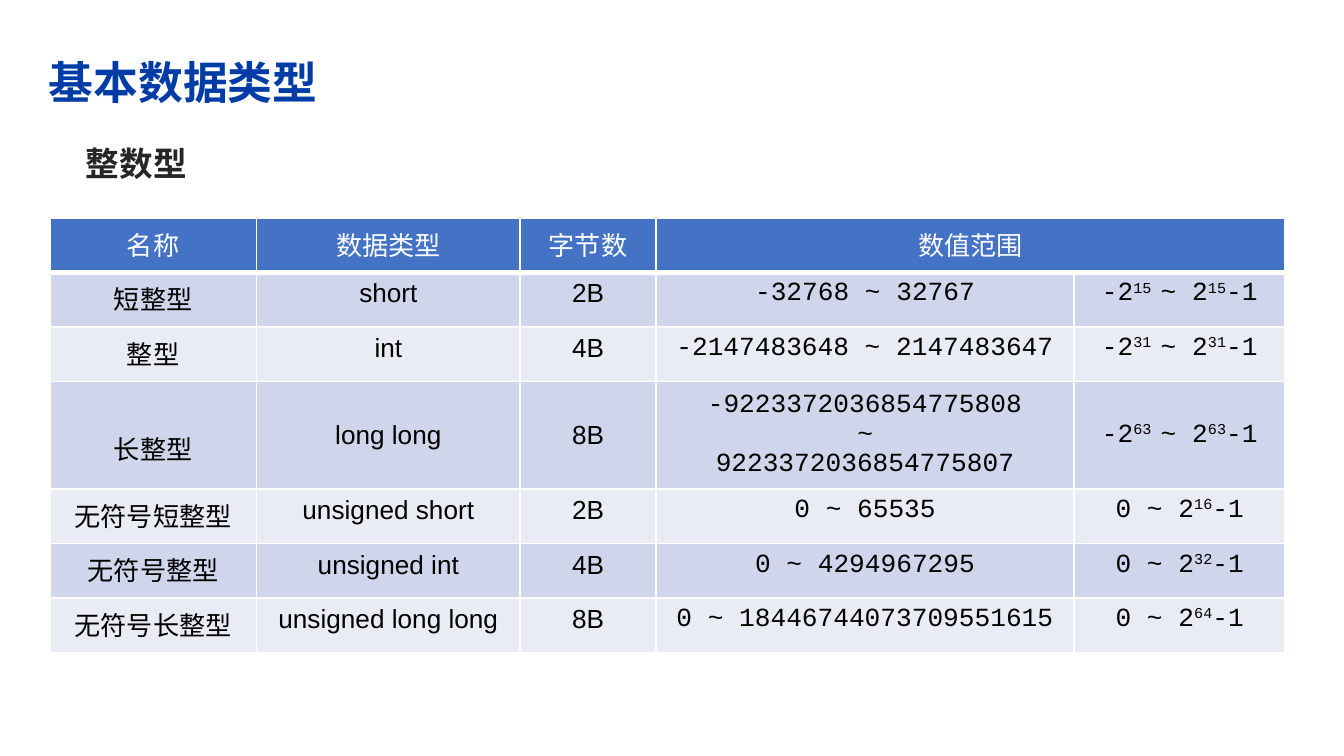
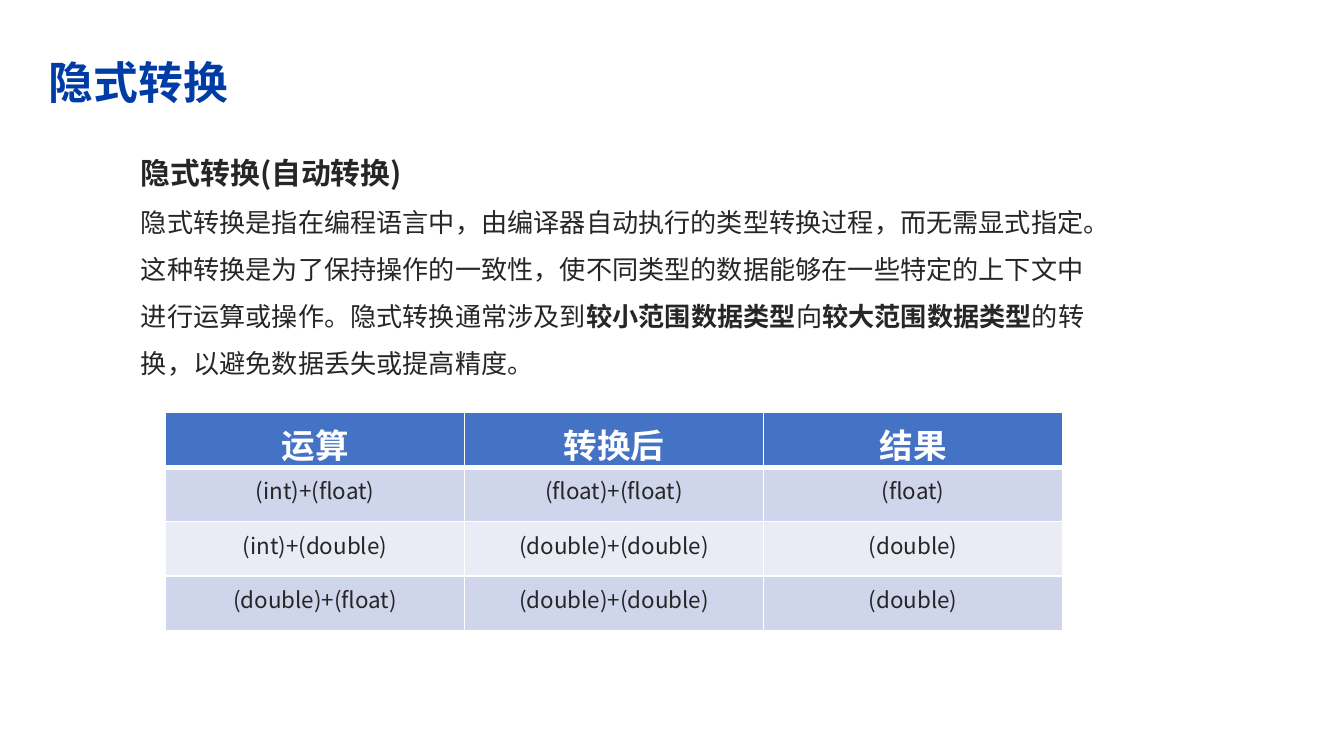
from lxml import etree
from pptx import Presentation
from pptx.dml.color import RGBColor
from pptx.enum.text import MSO_ANCHOR, MSO_AUTO_SIZE, PP_ALIGN
from pptx.oxml.ns import qn
from pptx.util import Cm, Pt

LEFT, CENTER = PP_ALIGN.LEFT, PP_ALIGN.CENTER
TOP, MIDDLE = MSO_ANCHOR.TOP, MSO_ANCHOR.MIDDLE
FIT_SHAPE, NO_FIT = MSO_AUTO_SIZE.SHAPE_TO_FIT_TEXT, MSO_AUTO_SIZE.NONE

SANS, ARIAL, MONO = "Noto Sans CJK SC", "Arial", "Courier New"
BLUE, DARK, BLACK, WHITE = "003CA6", "262626", "000000", "FFFFFF"
HEADER_FILL, BAND_FILLS = "4472C4", ("CFD5EA", "E9EBF5")
ROW_HEIGHT = 1.03

# Content: every second piece between bars is raised (table) or bold (body)
INTEGER_TITLE = "基本数据类型"
INTEGER_HEADING = "整数型"
INTEGER_HEADER = ["名称", "数据类型", "字节数", "数值范围", ""]
INTEGER_ROWS = [
    ["短整型", "short", "2B", "-32768 ~ 32767", "-2|15 |~ 2|15|-1"],
    ["整型", "int", "4B", "-2147483648 ~ 2147483647", "-2|31 |~ 2|31|-1"],
    ["长整型", "long long", "8B",
     "-9223372036854775808\n~\n9223372036854775807", "-2|63 |~ 2|63|-1"],
    ["无符号短整型", "unsigned short", "2B", "0 ~ 65535", "0 ~ 2|16|-1"],
    ["无符号整型", "unsigned int", "4B", "0 ~ 4294967295", "0 ~ 2|32|-1"],
    ["无符号长整型", "unsigned long long", "8B",
     "0 ~ 18446744073709551615", "0 ~ 2|64|-1"],
]
INTEGER_WIDTHS = [3.91, 4.98, 2.57, 7.9, 3.99]
INTEGER_FONTS = [SANS, ARIAL, ARIAL, MONO, MONO]
LONG_ROW = 3

CONVERSION_TITLE = "隐式转换"
CONVERSION_HEADING = "隐式转换(自动转换)"
CONVERSION_TEXT = (
    "隐式转换是指在编程语言中，由编译器自动执行的类型转换过程，而无需显式指定。"
    "这种转换是为了保持操作的一致性，使不同类型的数据能够在一些特定的上下文中"
    "进行运算或操作。隐式转换通常涉及到|较小范围数据类型|向|较大范围数据类型|"
    "的转换，以避免数据丢失或提高精度。")
CONVERSION_HEADER = ["运算", "转换后", "结果"]
CONVERSION_ROWS = [
    ["(int)+(float)", "(float)+(float)", "(float)"],
    ["(int)+(double)", "(double)+(double)", "(double)"],
    ["(double)+(float)", "(double)+(double)", "(double)"],
]
CONVERSION_WIDTHS = [5.65] * 3


def rgb(value):
    return RGBColor.from_string(value)


def style_run(run, font, size, color, bold=False):
    run.font.size = Pt(size)
    run.font.bold = bold
    run.font.color.rgb = rgb(color)
    run.font.name = font
    etree.SubElement(run.font._element, qn("a:ea"), typeface=SANS)


def write_marked(paragraph, text, font, size, color, bold=False, raised=False):
    """Write text whose odd pieces are raised or bold."""
    for i, piece in enumerate(text.split("|")):
        run = paragraph.add_run()
        run.text = piece
        marked = i % 2 == 1
        style_run(run, font, size, color, bold or (marked and not raised))
        if marked and raised:
            run.font._element.set("baseline", "30000")


def place(shape, left, top, width, height):
    shape.left, shape.top = Cm(left), Cm(top)
    shape.width, shape.height = Cm(width), Cm(height)


def add_slide(prs, title_text):
    slide = prs.slides.add_slide(prs.slide_layouts[1])
    title = slide.shapes.title
    place(title, 0.53, 0.69, 23.8, 1.88)
    frame = title.text_frame
    frame.auto_size = NO_FIT
    frame.vertical_anchor = MIDDLE
    frame.margin_left, frame.margin_right = Cm(0.39), Cm(0.18)
    frame.margin_top = frame.margin_bottom = Cm(0.1)
    frame.text = title_text
    paragraph = frame.paragraphs[0]
    paragraph.alignment = LEFT
    paragraph.line_spacing = 0.85
    style_run(paragraph.runs[0], SANS, 24, BLUE, True)
    return slide


def fill_body(slide, box, paragraphs, spacing, wrap):
    """Fill the body with (text, size, bold) paragraphs without bullets."""
    body = slide.placeholders[1]
    place(body, *box)
    frame = body.text_frame
    frame.word_wrap = wrap
    frame.auto_size = FIT_SHAPE
    for i, (text, size, bold) in enumerate(paragraphs):
        paragraph = frame.paragraphs[0] if i == 0 else frame.add_paragraph()
        properties = paragraph._p.get_or_add_pPr()
        properties.set("marL", "0")
        properties.set("indent", "0")
        etree.SubElement(properties, qn("a:buNone"))
        paragraph.alignment = LEFT
        paragraph.line_spacing = spacing
        paragraph.space_before = Pt(0)
        write_marked(paragraph, text, SANS, size, DARK, bold)


def set_borders(cell, bottom):
    properties = cell._tc.get_or_add_tcPr()
    for i, (side, points) in enumerate(
            [("L", 1), ("R", 1), ("T", 1), ("B", bottom)]):
        line = etree.Element(qn(f"a:ln{side}"), w=str(Pt(points)))
        fill = etree.SubElement(line, qn("a:solidFill"))
        etree.SubElement(fill, qn("a:srgbClr"), val=WHITE)
        properties.insert(i, line)


def add_grid(slide, left, top, widths, header, rows, header_style, fonts, size, color):
    """Add a banded table; header_style is (font, size, bold)."""
    count = len(rows) + 1
    table = slide.shapes.add_table(
        count, len(widths), Cm(left), Cm(top),
        Cm(sum(widths)), Cm(ROW_HEIGHT * count)).table
    for column, width in zip(table.columns, widths):
        column.width = Cm(width)
    for r, texts in enumerate([header] + rows):
        table.rows[r].height = Cm(ROW_HEIGHT)
        for c, text in enumerate(texts):
            cell = table.cell(r, c)
            cell.fill.solid()
            cell.fill.fore_color.rgb = rgb(
                BAND_FILLS[(r - 1) % 2] if r else HEADER_FILL)
            set_borders(cell, 1 if r else 3)
            cell.vertical_anchor = TOP
            font, points, bold = (fonts[c], size, False) if r else header_style
            for i, line in enumerate(text.split("\n")):
                frame = cell.text_frame
                paragraph = frame.paragraphs[0] if i == 0 else frame.add_paragraph()
                paragraph.alignment = CENTER
                if line:
                    write_marked(paragraph, line, font, points,
                                 color if r else WHITE, bold, raised=True)
    return table


def build_integer_slide(prs):
    slide = add_slide(prs, INTEGER_TITLE)
    fill_body(slide, (1.37, 2.57, 2.44, 1.02), [(INTEGER_HEADING, 18, True)], 1.0, False)
    table = add_grid(slide, 0.94, 4.12, INTEGER_WIDTHS, INTEGER_HEADER, INTEGER_ROWS,
                     (SANS, 14, False), INTEGER_FONTS, 14, BLACK)
    table.cell(0, 3).merge(table.cell(0, 4))
    # The three-line range makes this row taller
    table.rows[LONG_ROW].height = Cm(1.4)
    for cell in table.rows[LONG_ROW].cells:
        cell.vertical_anchor = MIDDLE
    table.cell(LONG_ROW, 0).margin_top = Cm(0.6)


def build_conversion_slide(prs):
    slide = add_slide(prs, CONVERSION_TITLE)
    fill_body(slide, (2.41, 2.46, 18.36, 4.78),
              [(CONVERSION_HEADING, 16, True), (CONVERSION_TEXT, 14, False)], 1.5, True)
    add_grid(slide, 3.13, 7.8, CONVERSION_WIDTHS, CONVERSION_HEADER, CONVERSION_ROWS,
             (ARIAL, 18, True), [SANS] * 3, 12, DARK)


def main():
    prs = Presentation()
    prs.slide_width, prs.slide_height = Cm(25.4), Cm(14.29)
    build_integer_slide(prs)
    build_conversion_slide(prs)
    prs.save("out.pptx")


if __name__ == "__main__":
    main()
